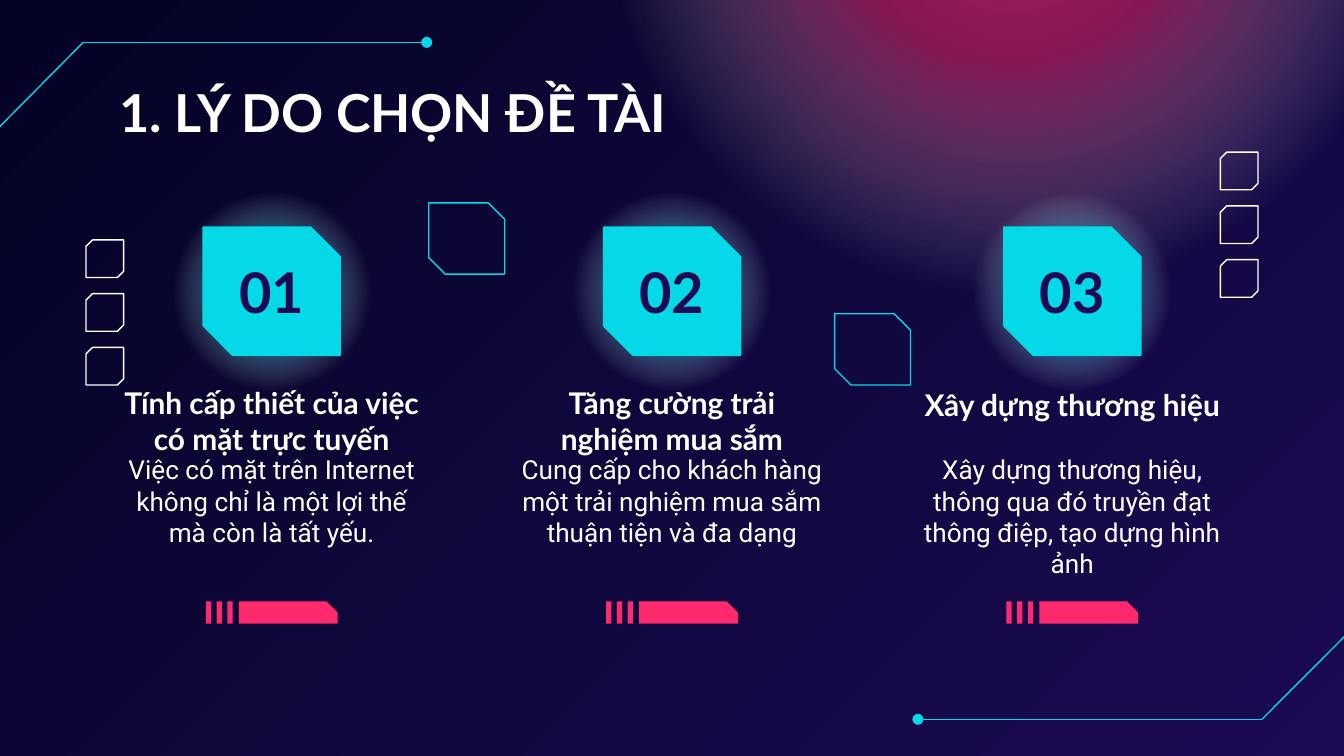
from pptx import Presentation
from pptx.dml.color import RGBColor as RGB
from pptx.enum.shapes import MSO_CONNECTOR as LINK, MSO_SHAPE as SHAPE
from pptx.enum.text import MSO_ANCHOR as ANCHOR, MSO_AUTO_SIZE as FIT, PP_ALIGN as ALIGN
from pptx.oxml import parse_xml
from pptx.oxml.ns import nsdecls, qn
from pptx.util import Inches, Pt

NIGHT, NAVY = RGB(0x03, 0x03, 0x25), RGB(0x1B, 0x0B, 0x52)
CYAN, PINK, WHITE = RGB(0x05, 0xD8, 0xE7), RGB(0xFF, 0x29, 0x6D), RGB(0xFF, 0xFF, 0xFF)

# The slide is a 16:9 grid of 100 columns by 56.25 rows
COLS, ROWS = 100, 56.25
CELL = Inches(10) / COLS
PITCH = 29.78  # from one reason to the next

HEAD = dict(name="Lato", size=Pt(16), bold=True)
BODY = dict(name="Roboto", size=Pt(14), bold=False)
TITLE = dict(name="Lato", size=Pt(28), bold=True)
DIGIT = dict(name="Lato", size=Pt(30), bold=True)

REASONS = [
    ("01", "Tính cấp thiết của việc có mặt trực tuyến", 15.2,
     "Việc có mặt trên Internet không chỉ là một lợi thế mà còn là tất yếu."),
    ("02", "Tăng cường trải nghiệm mua sắm", 15.2,
     "Cung cấp cho khách hàng một trải nghiệm mua sắm thuận tiện và đa dạng"),
    ("03", "Xây dựng thương hiệu", 14,
     "Xây dựng thương hiệu, thông qua đó truyền đạt thông điệp, tạo dựng hình ảnh"),
]


def cells(*nums):
    return [round(n * CELL) for n in nums]


def inner(box, width, top, height):
    """Area centred across the box, measured down from its top."""
    left, y, wide, _ = box
    return left + (wide - width) / 2, y + top, width, height


def draw(slide, kind, area, fill=None, line=None, snip=None):
    shape = slide.shapes.add_shape(kind, *cells(*area))
    shape.shadow.inherit = False
    if fill is None:
        shape.fill.background()
    else:
        shape.fill.solid()
        shape.fill.fore_color.rgb = fill
    if line is None:
        shape.line.fill.background()
    else:
        shape.line.color.rgb = line
        shape.line.width = Pt(0.75)
    for i, value in enumerate(snip or ()):
        shape.adjustments[i] = value
    return shape


def glow(slide, area, tint, core, ring):
    """Circle that fades from a tinted core to nothing."""
    shape = draw(slide, SHAPE.OVAL, area)
    stops = [(0, tint, core), (30, tint, ring), (69, WHITE, 0), (100, WHITE, 0)]
    marks = "".join(
        f'<a:gs pos="{pos * 1000}"><a:srgbClr val="{color}">'
        f'<a:alpha val="{alpha * 1000}"/></a:srgbClr></a:gs>'
        for pos, color, alpha in stops)
    fade = parse_xml(
        f'<a:gradFill {nsdecls("a")} rotWithShape="1"><a:gsLst>{marks}</a:gsLst>'
        '<a:path path="circle"><a:fillToRect l="50000" t="50000" r="50000" b="50000"/>'
        '</a:path></a:gradFill>')
    props = shape.element.spPr
    props.replace(props.find(qn("a:noFill")), fade)


def write(shape, area, text, font, color=WHITE, align=ALIGN.CENTER,
          anchor=ANCHOR.TOP, after=0):
    shape.left, shape.top, shape.width, shape.height = cells(*area)
    frame = shape.text_frame
    frame.text = text
    look = dict(word_wrap=True, auto_size=FIT.NONE, vertical_anchor=anchor)
    look.update({f"margin_{side}": Inches(0.1)
                 for side in ("left", "top", "right", "bottom")})
    para = frame.paragraphs[0]
    flow = dict(alignment=align, space_before=Pt(0), space_after=Pt(after), line_spacing=1.0)
    for target, values in ((frame, look), (para, flow), (para.runs[0].font, font)):
        for key, value in values.items():
            setattr(target, key, value)
    para.runs[0].font.color.rgb = color
    # No bullet and no hanging indent
    props = para._p.get_or_add_pPr()
    props.set("marL", "0")
    props.set("indent", "0")
    props.append(parse_xml(f'<a:buNone {nsdecls("a")}/>'))


def trace(slide, points):
    """Bent thin line with a dot at its last point."""
    for start, end in zip(points, points[1:]):
        link = slide.shapes.add_connector(LINK.STRAIGHT, *cells(*start, *end))
        link.line.color.rgb = CYAN
        link.line.width = Pt(0.75)
        if end == points[-1]:
            link.line._ln.append(parse_xml(f'<a:tailEnd {nsdecls("a")} type="oval"/>'))
        link._element.spPr.append(parse_xml(f'<a:effectLst {nsdecls("a")}/>'))


def backdrop(slide):
    fill = slide.background.fill
    fill.gradient()
    fill.gradient_angle = 315
    for stop, color, pos in zip(fill.gradient_stops, (NIGHT, NAVY), (0, 1)):
        stop.color.rgb = color
        stop.position = pos
    glow(slide, (44.1, -39.9, 62.5, 62.5), PINK, 67, 49)
    trace(slide, [(-0.1, 9.5), (6.2, 3.15), (31.75, 3.15)])
    trace(slide, [(COLS + 0.2, 47.2), (93.9, 53.52), (68.3, 53.52)])


def bar(slide, area):
    """Three ticks and a snipped strip."""
    left, top, width, height = area
    for i in range(3):
        draw(slide, SHAPE.RECTANGLE, (left + 0.8 * i, top, 0.4, height), PINK)
    draw(slide, SHAPE.SNIP_1_RECTANGLE, (left + 2.45, top, width - 2.45, height),
         PINK, snip=[0.5])


def reason(slide, box, item, slots):
    digit, head, drop, body = item
    glow(slide, inner(box, 15.1, 0, 15.1), CYAN, 71, 48)
    draw(slide, SHAPE.SNIP_2_DIAG_RECTANGLE, inner(box, 10.2, 2.75, 9.55),
         CYAN, CYAN, [0, 0.23])
    label = slide.shapes.add_textbox(0, 0, 0, 0)
    write(label, inner(box, 8.5, 4.9, 5.3), digit, DIGIT, NAVY, anchor=ANCHOR.MIDDLE)
    # Placeholders first, then text boxes once the layout has no more
    rows = ((head, HEAD, drop, 3.9, ANCHOR.MIDDLE), (body, BODY, 18.6, 10.1, ANCHOR.TOP))
    for text, font, top, height, anchor in rows:
        slot = slots.pop(0) if slots else slide.shapes.add_textbox(0, 0, 0, 0)
        write(slot, inner(box, box[2], top, height), text, font, anchor=anchor, after=12)
    bar(slide, inner(box, 9.8, 30.6, 1.65))


def stack(slide, left, top):
    """Column of three small frames."""
    for i in range(3):
        frame = draw(slide, SHAPE.SNIP_2_DIAG_RECTANGLE, (left, top + 4 * i, 2.8, 2.8),
                     line=WHITE, snip=[0, 0.17])
        frame.rotation = 90


def main():
    deck = Presentation()
    deck.slide_width, deck.slide_height = cells(COLS, ROWS)
    slide = deck.slides.add_slide(deck.slide_layouts[4])
    title, *slots = slide.placeholders
    backdrop(slide)
    write(title, (7.9, 4.95, 78.5, 6.7), "1. LÝ DO CHỌN ĐỀ TÀI", TITLE, align=ALIGN.LEFT)
    for i, item in enumerate(REASONS):
        reason(slide, (7.82 + PITCH * i, 14.15, 24.8, 32.2), item, slots)
    # Loose frames around the reasons
    for left, top in ((31.9, 15.1), (62.1, 23.35)):
        draw(slide, SHAPE.SNIP_2_DIAG_RECTANGLE, (left, top, 5.65, 5.3),
             line=CYAN, snip=[0, 0.23])
    stack(slide, 90.8, 11.32)
    stack(slide, 6.4, 17.85)
    deck.save("out.pptx")


if __name__ == "__main__":
    main()
